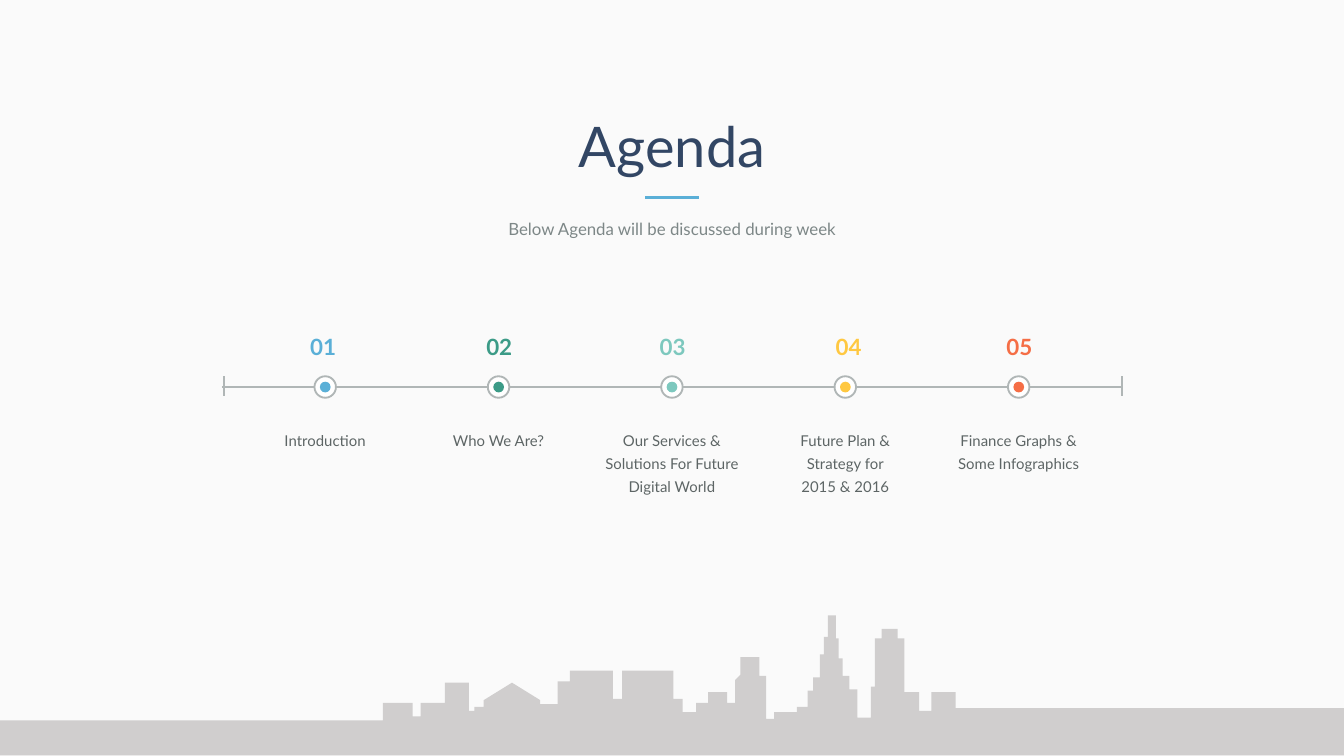
import pptx
import pptx.util
import pptx.dml.color
import pptx.enum.shapes
import pptx.enum.text
import pptx.oxml

Inches = pptx.util.Inches
Pt = pptx.util.Pt
RGBColor = pptx.dml.color.RGBColor
Shapes = pptx.enum.shapes.MSO_SHAPE

BACKGROUND = RGBColor(0xFA, 0xFA, 0xFA)
WHITE = RGBColor(0xFF, 0xFF, 0xFF)
SKYLINE_GREY = RGBColor(0xD0, 0xCE, 0xCE)
LINE_GREY = RGBColor(0xB0, 0xB6, 0xB6)
SUBTITLE_GREY = RGBColor(0x7D, 0x87, 0x87)
LABEL_GREY = RGBColor(0x5D, 0x65, 0x65)
NAVY = RGBColor(0x32, 0x46, 0x64)
BLUE = RGBColor(0x5A, 0xAF, 0xD7)
GREEN = RGBColor(0x3C, 0x9B, 0x87)
MINT = RGBColor(0x7D, 0xC8, 0xBE)
YELLOW = RGBColor(0xFF, 0xC8, 0x41)
ORANGE = RGBColor(0xF5, 0x6E, 0x46)

FRAME_FORMAT = {
    "margin_left": 0, "margin_top": 0, "margin_right": 0, "margin_bottom": 0,
    "word_wrap": True,
    "auto_size": pptx.enum.text.MSO_AUTO_SIZE.NONE,
    "vertical_anchor": pptx.enum.text.MSO_ANCHOR.TOP,
}


def write(box, lines, size, color, bold=False, spacing=None):
    """Fill a box with centred paragraphs, one per line."""
    frame = box.text_frame
    for name, value in FRAME_FORMAT.items():
        setattr(frame, name, value)
    frame.text = "\n".join(lines)
    for para in frame.paragraphs:
        para.alignment = pptx.enum.text.PP_ALIGN.CENTER
        if spacing:
            para.line_spacing = spacing
        for span in para.runs:
            font_format = {"name": "Lato", "size": Pt(size), "bold": bold}
            for name, value in font_format.items():
                setattr(span.font, name, value)
            span.font.color.rgb = color


def paint(shape, fill, outline=None):
    shape.shadow.inherit = False
    shape.fill.solid()
    shape.fill.fore_color.rgb = fill
    if outline is None:
        shape.line.fill.background()
    else:
        shape.line.color.rgb = outline
        shape.line.width = Pt(1)


deck = pptx.Presentation()
deck.slide_width = Inches(10)
deck.slide_height = Inches(10 * 9 / 16)
page = deck.slides.add_slide(deck.slide_layouts[5])
page.background.fill.solid()
page.background.fill.fore_color.rgb = BACKGROUND

# City skyline along the bottom, in hundredths of an inch
skyline = [
    (1017, 527), (711, 527), (711, 515), (693, 515), (693, 529), (684, 529),
    (684, 515), (673, 515), (673, 475), (668, 475), (668, 468), (656, 468),
    (656, 475), (651, 475), (651, 511), (648, 511), (648, 534), (638, 534),
    (638, 513), (632, 513), (632, 503), (627, 503), (627, 490), (624, 490),
    (624, 475), (622, 475), (622, 458), (616, 458), (616, 474), (613, 474),
    (613, 487), (610, 487), (610, 504), (605, 504), (605, 514), (601, 514),
    (601, 526), (593, 526), (593, 530), (576, 530), (576, 535), (570, 535),
    (570, 503), (565, 503), (565, 489), (551, 489), (551, 502), (547, 506),
    (547, 523), (541, 523), (541, 515), (527, 515), (527, 523), (518, 523),
    (518, 530), (508, 530), (508, 520), (501, 520), (501, 499), (463, 499),
    (463, 520), (456, 520), (456, 499), (424, 499), (424, 507), (415, 507),
    (415, 524), (402, 524), (402, 521), (381, 508), (360, 521), (360, 526),
    (353, 526), (353, 529), (349, 529), (349, 508), (331, 508), (331, 523),
    (313, 523), (313, 533), (307, 533), (307, 523), (285, 523), (285, 536),
    (-17, 536), (-17, 562.5), (1017, 562.5),
]
builder = page.shapes.build_freeform(*skyline[0], scale=Inches(0.01))
builder.add_line_segments(skyline[1:], close=True)
paint(builder.convert_to_shape(), SKYLINE_GREY)

# Heading
title = page.shapes.title
title.left, title.top = Inches(0.75), Inches(0.83)
title.width, title.height = Inches(8.5), Inches(0.5)
write(title, ["Agenda"], 30, NAVY)
subtitle = page.shapes.add_textbox(Inches(0.75), Inches(1.63), Inches(8.5), Inches(0.15))
write(subtitle, ["Below Agenda will be discussed during week"], 9, SUBTITLE_GREY)
rule = page.shapes.add_shape(
    Shapes.RECTANGLE, Inches(4.8), Inches(1.46), Inches(0.4), Inches(0.02))
paint(rule, BLUE)

# Timeline axis with its two end ticks
AXIS_Y = 2.88
for x1, y1, x2, y2, width in [
    (1.65, AXIS_Y, 8.35, AXIS_Y, 1.5),
    (1.67, 2.8, 1.67, 2.95, 1),
    (8.35, 2.8, 8.35, 2.95, 1),
]:
    line = page.shapes.add_connector(
        pptx.enum.shapes.MSO_CONNECTOR.STRAIGHT,
        Inches(x1), Inches(y1), Inches(x2), Inches(y2))
    line.line.color.rgb = LINE_GREY
    line.line.width = Pt(width)
    line._element.spPr.append(pptx.oxml.parse_xml(
        '<a:effectLst xmlns:a="http://schemas.openxmlformats.org/drawingml/2006/main"/>'))

# Agenda items: colour, left of number, label height, label lines
items = [
    (BLUE, 2.29, 0.16, ["Introduction"]),
    (GREEN, 3.6, 0.16, ["Who We Are?"]),
    (MINT, 4.89, 0.51, ["Our Services & Solutions For Future Digital World"]),
    (YELLOW, 6.2, 0.51, ["Future Plan & Strategy for", "2015 & 2016"]),
    (ORANGE, 7.47, 0.33, ["Finance Graphs & Some Infographics"]),
]
for index, (color, number_left, label_height, label_lines) in enumerate(items):
    center = 5 + 1.29 * (index - 2)
    for size, fill, outline in [(0.16, WHITE, LINE_GREY), (0.08, color, None)]:
        dot = page.shapes.add_shape(
            Shapes.OVAL, Inches(center - size / 2), Inches(AXIS_Y - size / 2),
            Inches(size), Inches(size))
        paint(dot, fill, outline)
    number = page.shapes.add_textbox(
        Inches(number_left), Inches(2.48), Inches(0.23), Inches(0.2))
    write(number, [f"{index + 1:02}"], 12, color, bold=True)
    label = page.shapes.add_textbox(
        Inches(center - 0.5), Inches(3.17), Inches(1), Inches(label_height))
    write(label, label_lines, 8, LABEL_GREY, spacing=1.3)

deck.save("out.pptx")
